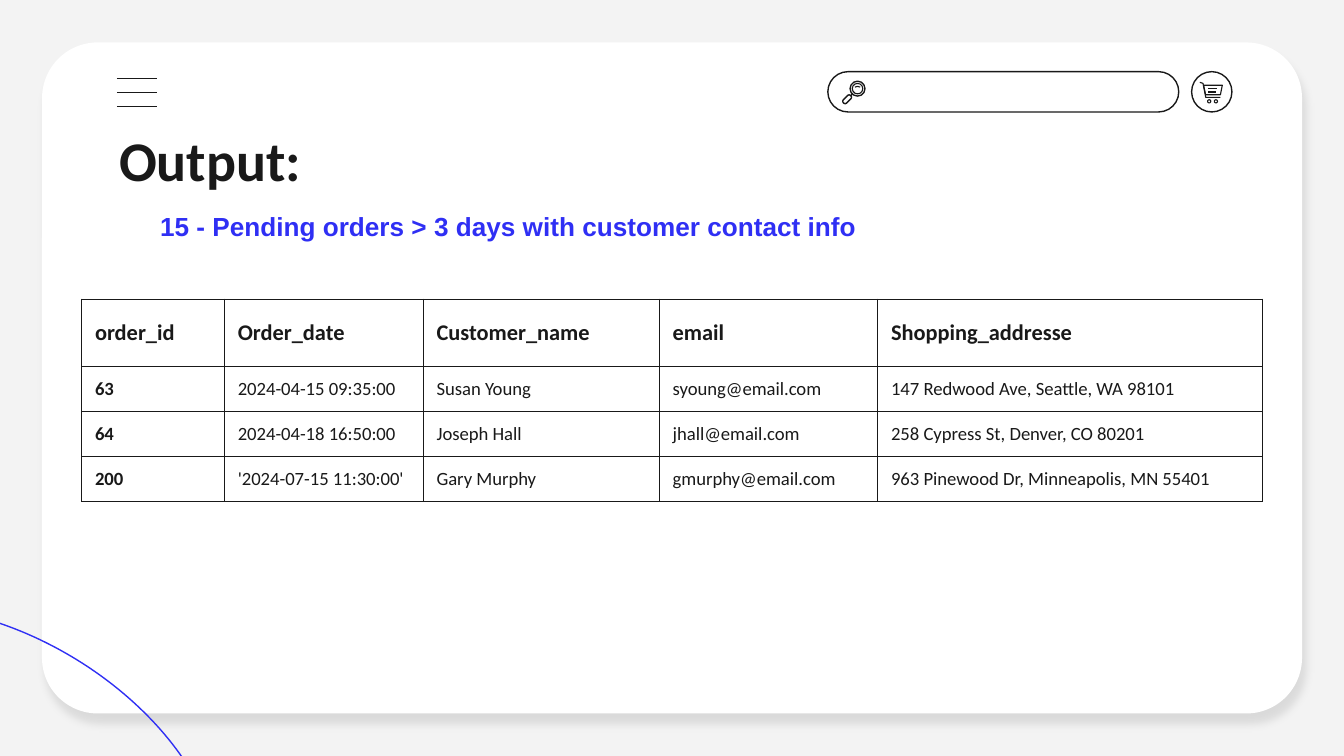
from lxml import etree
from pptx import Presentation
from pptx.dml.color import RGBColor
from pptx.enum.shapes import MSO_CONNECTOR, MSO_SHAPE
from pptx.enum.text import MSO_ANCHOR
from pptx.oxml.ns import qn
from pptx.util import Pt

ROUNDED, OVAL = MSO_SHAPE.ROUNDED_RECTANGLE, MSO_SHAPE.OVAL
STRAIGHT = MSO_CONNECTOR.STRAIGHT
TOP, MIDDLE, BOTTOM = MSO_ANCHOR.TOP, MSO_ANCHOR.MIDDLE, MSO_ANCHOR.BOTTOM

GRAY = RGBColor(0xF3, 0xF3, 0xF3)
WHITE = RGBColor(0xFF, 0xFF, 0xFF)
INK = RGBColor(0x19, 0x19, 0x19)
BLUE = RGBColor(0x2F, 0x2F, 0xF4)

TITLE = {"size": Pt(30), "name": "Calibri", "bold": True}
SUBTITLE = {"size": Pt(14), "name": "Arial", "bold": True}
HEADER = {"size": Pt(12), "name": "Calibri", "bold": True}
ORDER_ID = {"size": Pt(10), "name": "Calibri", "bold": True}
DETAIL = {"size": Pt(10), "name": "Calibri", "bold": False}

COLUMN_WIDTHS = [76.5, 106.5, 126.5, 117, 206]
ROW_HEIGHTS = [36, 24.2, 24.2, 24.2]
ORDERS = [
    ["order_id", "Order_date", "Customer_name", "email", "Shopping_addresse"],
    ["63", "2024-04-15 09:35:00", "Susan Young", "syoung@email.com",
     "147 Redwood Ave, Seattle, WA 98101"],
    ["64", "2024-04-18 16:50:00", "Joseph Hall", "jhall@email.com",
     "258 Cypress St, Denver, CO 80201"],
    ["200", "'2024-07-15 11:30:00'", "Gary Murphy", "gmurphy@email.com",
     "963 Pinewood Dr, Minneapolis, MN 55401"],
]


def add_child(parent, tag, **attributes):
    return etree.SubElement(parent, qn(tag), attributes)


def set_line(shape, color, width):
    shape.line.color.rgb = color
    shape.line.width = Pt(width)


def add_outline(page, kind, left, top, width, height, color=INK, weight=0.75):
    """Add an unfilled preset shape."""
    shape = page.shapes.add_shape(kind, Pt(left), Pt(top), Pt(width), Pt(height))
    shape.shadow.inherit = False
    shape.fill.background()
    set_line(shape, color, weight)
    return shape


def add_circle(page, center_x, center_y, diameter, weight=0.75):
    radius = diameter / 2
    add_outline(page, OVAL, center_x - radius, center_y - radius,
                diameter, diameter, weight=weight)


def add_line(page, start, end, weight=0.75):
    line = page.shapes.add_connector(STRAIGHT, *map(Pt, (*start, *end)))
    set_line(line, INK, weight)
    add_child(line._element.spPr, "a:effectLst")


def add_stroke(page, points, close=False, weight=0.6):
    """Add an unfilled outline through the points."""
    start, *rest = [(Pt(x), Pt(y)) for x, y in points]
    builder = page.shapes.build_freeform(*start)
    builder.add_line_segments(rest, close=close)
    stroke = builder.convert_to_shape()
    stroke.shadow.inherit = False
    stroke.fill.background()
    set_line(stroke, INK, weight)


def add_card(page):
    card = add_outline(page, ROUNDED, 22.5, 22.75, 675, 359.5)
    card.adjustments[0] = 0.083
    card.fill.solid()
    card.fill.fore_color.rgb = WHITE
    card.line.fill.background()
    effects = card._element.spPr.find(qn("a:effectLst"))
    shadow = add_child(effects, "a:outerShdw", blurRad=str(Pt(4.5)), dist=str(Pt(6)),
                       dir=str(68 * 60000), algn="bl", rotWithShape="0")
    color = add_child(shadow, "a:srgbClr", val="000000")
    add_child(color, "a:alpha", val="10000")


def add_menu(page):
    for index in range(3):
        height = 42 + 7.5 * index
        add_line(page, (62.6, height), (84.2, height))


def add_search_bar(page):
    bar = add_outline(page, ROUNDED, 443.5, 38.4, 188, 21.6)
    bar.adjustments[0] = 0.5
    add_circle(page, 459.4, 47.5, 8)
    add_circle(page, 459.4, 47.5, 5.6, 0.6)
    add_stroke(page, [(458, 46.7), (459.4, 46.3), (460.8, 46.7)])
    add_line(page, (455.6, 51.4), (456.6, 50.4))
    handle = add_outline(page, ROUNDED, 451.1, 52, 5.4, 2.4)
    handle.adjustments[0] = 0.4
    handle.rotation = -45


def add_cart_button(page):
    add_circle(page, 649.2, 49.2, 21.6)
    add_stroke(page, [(642.8, 44.1), (644.5, 44.7), (646, 52.2), (653.8, 52.2)])
    add_stroke(page, [(644.8, 45.7), (654.8, 45.7), (653.8, 50.8), (645.9, 50.8)], close=True)
    for height, right in [(47.6, 652.2), (49.3, 651.6)]:
        add_line(page, (647.3, height), (right, height), 0.6)
    for center in (647.8, 651.4):
        add_circle(page, center, 54.3, 1.7, 0.6)


def write(frame, text, style, color):
    para = frame.paragraphs[0]
    span = para.add_run()
    span.text = text
    for name, value in style.items():
        setattr(span.font, name, value)
    span.font.color.rgb = color


def add_text(page, text, left, top, width, height, style, color, anchor):
    box = page.shapes.add_textbox(Pt(left), Pt(top), Pt(width), Pt(height))
    frame = box.text_frame
    frame.word_wrap = True
    frame.vertical_anchor = anchor
    for side in ("left", "top", "right", "bottom"):
        setattr(frame, f"margin_{side}", Pt(7.2))
    write(frame, text, style, color)


def add_borders(cell):
    properties = cell._tc.get_or_add_tcPr()
    for side in ("L", "R", "T", "B"):
        border = add_child(properties, f"a:ln{side}", w=str(Pt(0.75)))
        fill = add_child(border, "a:solidFill")
        add_child(fill, "a:srgbClr", val=str(INK))


def add_orders_table(page):
    frame = page.shapes.add_table(len(ORDERS), len(COLUMN_WIDTHS), Pt(43.7), Pt(160.3),
                                  Pt(sum(COLUMN_WIDTHS)), Pt(sum(ROW_HEIGHTS)))
    table = frame.table
    table.first_row = table.horz_banding = False
    for column, width in zip(table.columns, COLUMN_WIDTHS):
        column.width = Pt(width)
    for row_index, (row, height, values) in enumerate(zip(table.rows, ROW_HEIGHTS, ORDERS)):
        row.height = Pt(height)
        is_header = row_index == 0
        for column_index, (cell, value) in enumerate(zip(row.cells, values)):
            add_borders(cell)
            cell.fill.background()
            cell.vertical_anchor = MIDDLE
            cell.margin_left = cell.margin_right = Pt(7.2)
            cell.margin_top = cell.margin_bottom = Pt(3.6 if is_header else 0)
            body_style = DETAIL if column_index else ORDER_ID
            write(cell.text_frame, value, HEADER if is_header else body_style, INK)


def main():
    deck = Presentation()
    deck.slide_width, deck.slide_height = Pt(720), Pt(405)
    page = deck.slides.add_slide(deck.slide_layouts[6])
    page.background.fill.solid()
    page.background.fill.fore_color.rgb = GRAY

    add_card(page)
    corner_arc = add_outline(page, OVAL, -136, 340.5, 265, 166.5, BLUE)
    corner_arc.rotation = 31.1
    add_menu(page)
    add_search_bar(page)
    add_cart_button(page)
    add_text(page, "Output:", 56.7, 60, 607, 45, TITLE, INK, TOP)
    add_orders_table(page)
    add_text(page, "15 - Pending orders > 3 days with customer contact info",
             78.7, 100.8, 459, 36, SUBTITLE, BLUE, BOTTOM)
    deck.save("out.pptx")


if __name__ == "__main__":
    main()
